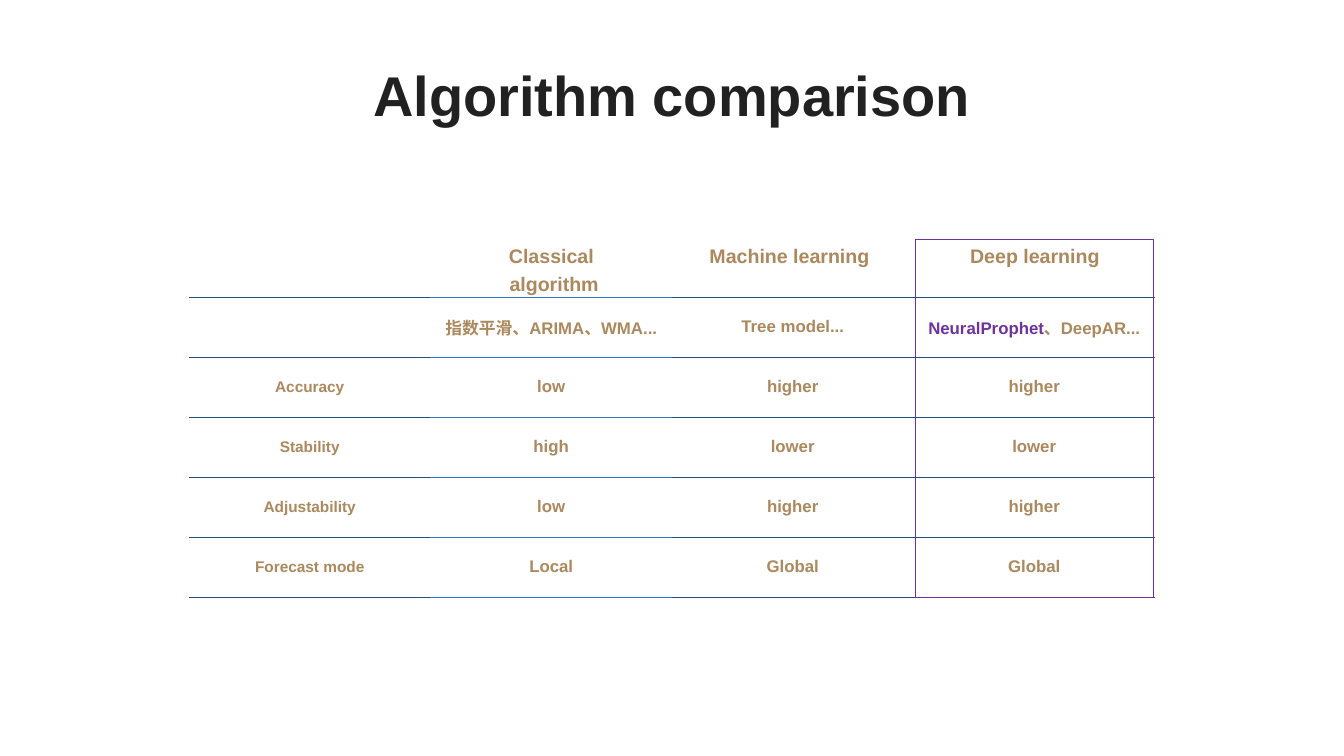
from lxml import etree
from pptx import Presentation
from pptx.dml.color import RGBColor
from pptx.enum.shapes import MSO_SHAPE
from pptx.enum.text import MSO_ANCHOR, PP_ALIGN
from pptx.oxml.ns import qn
from pptx.util import Inches, Pt

CENTER = PP_ALIGN.CENTER
MIDDLE = MSO_ANCHOR.MIDDLE
RECTANGLE = MSO_SHAPE.RECTANGLE

GOLD = RGBColor(0xAC, 0x88, 0x5D)
PURPLE = RGBColor(0x70, 0x30, 0xA0)
INK = RGBColor(0x21, 0x21, 0x21)
NAVY = RGBColor(0x21, 0x4D, 0x83)
BLUE = RGBColor(0x33, 0x77, 0xCA)

NO_GRID_STYLE = "{2D5ABB26-0587-4C30-8999-92F81FD0307C}"
HIGHLIGHT = "NeuralProphet"
COMPARISON = [
    ["", "指数平滑、ARIMA、WMA...", "Tree model...", HIGHLIGHT + "、DeepAR..."],
    ["Accuracy", "low", "higher", "higher"],
    ["Stability", "high", "lower", "lower"],
    ["Adjustability", "low", "higher", "higher"],
    ["Forecast mode", "Local", "Global", "Global"],
]
HEADINGS = [
    ("Classical  algorithm", 9.29, 3.41),
    ("Machine learning", 14.05, 3.23),
    ("Deep learning", 19.06, 2.95),
]
HEADING_TOP = 4.75


def style_run(run, size, color):
    run.font.name = "Arial"
    run.font.size = Pt(size)
    run.font.bold = True
    run.font.color.rgb = color


def add_label(slide, text, left, top, width, height, size, color):
    """Add a centred bold text box and return its text frame."""
    box = slide.shapes.add_textbox(
        Inches(left), Inches(top), Inches(width), Inches(height))
    frame = box.text_frame
    frame.word_wrap = True
    frame.text = text
    frame.paragraphs[0].alignment = CENTER
    style_run(frame.paragraphs[0].runs[0], size, color)
    return frame


def add_heading(slide, text, left, width):
    frame = add_label(slide, text, left, HEADING_TOP, width, 0.56, 28, GOLD)
    frame.margin_left = frame.margin_right = 0
    frame.margin_top = frame.margin_bottom = 0
    frame.paragraphs[0].line_spacing = 1.2


def set_borders(cell, color):
    """Rule the cell above and below, with open sides."""
    properties = cell._tc.get_or_add_tcPr()
    for position, side in enumerate(("a:lnL", "a:lnR", "a:lnT", "a:lnB")):
        line = etree.Element(qn(side), w=str(Pt(0.5)))
        if side in ("a:lnT", "a:lnB"):
            fill = etree.SubElement(line, qn("a:solidFill"))
            etree.SubElement(fill, qn("a:srgbClr"), val=str(color))
        else:
            etree.SubElement(line, qn("a:noFill"))
        properties.insert(position, line)


def fill_cell(cell, text, is_criterion):
    cell.fill.background()
    cell.vertical_anchor = MIDDLE
    cell.margin_left = cell.margin_right = Inches(0 if is_criterion else 0.2)
    cell.margin_top = cell.margin_bottom = Inches(0 if is_criterion else 0.1)
    paragraph = cell.text_frame.paragraphs[0]
    paragraph.alignment = CENTER
    size = 22 if is_criterion else 24
    before, highlight, after = text.partition(HIGHLIGHT)
    for part, color in ((before, GOLD), (highlight, PURPLE), (after, GOLD)):
        if part:
            run = paragraph.add_run()
            run.text = part
            style_run(run, size, color)


def add_comparison(slide):
    frame = slide.shapes.add_table(
        len(COMPARISON), len(COMPARISON[0]),
        Inches(3.75), Inches(5.89), Inches(19.17), Inches(5.95))
    table = frame.table
    table.first_row = table.horz_banding = False
    table._tbl.tblPr.find(qn("a:tableStyleId")).text = NO_GRID_STYLE
    for row, texts in enumerate(COMPARISON):
        for column, text in enumerate(texts):
            cell = table.cell(row, column)
            fill_cell(cell, text, column == 0)
            set_borders(cell, BLUE if column == 1 else NAVY)


def add_highlight_frame(slide):
    frame = slide.shapes.add_shape(
        RECTANGLE, Inches(18.17), Inches(HEADING_TOP), Inches(4.72), Inches(7.11))
    frame.shadow.inherit = False
    frame.fill.background()
    frame.line.color.rgb = PURPLE
    frame.line.width = Pt(2)


def main():
    presentation = Presentation()
    presentation.slide_width = Inches(26.67)
    presentation.slide_height = Inches(15)
    slide = presentation.slides.add_slide(presentation.slide_layouts[6])
    add_comparison(slide)
    for text, left, width in HEADINGS:
        add_heading(slide, text, left, width)
    add_highlight_frame(slide)
    title = add_label(slide, "Algorithm comparison", 1.85, 1.04, 22.97, 1.67, 80, INK)
    title.vertical_anchor = MIDDLE
    presentation.save("out.pptx")


if __name__ == "__main__":
    main()
